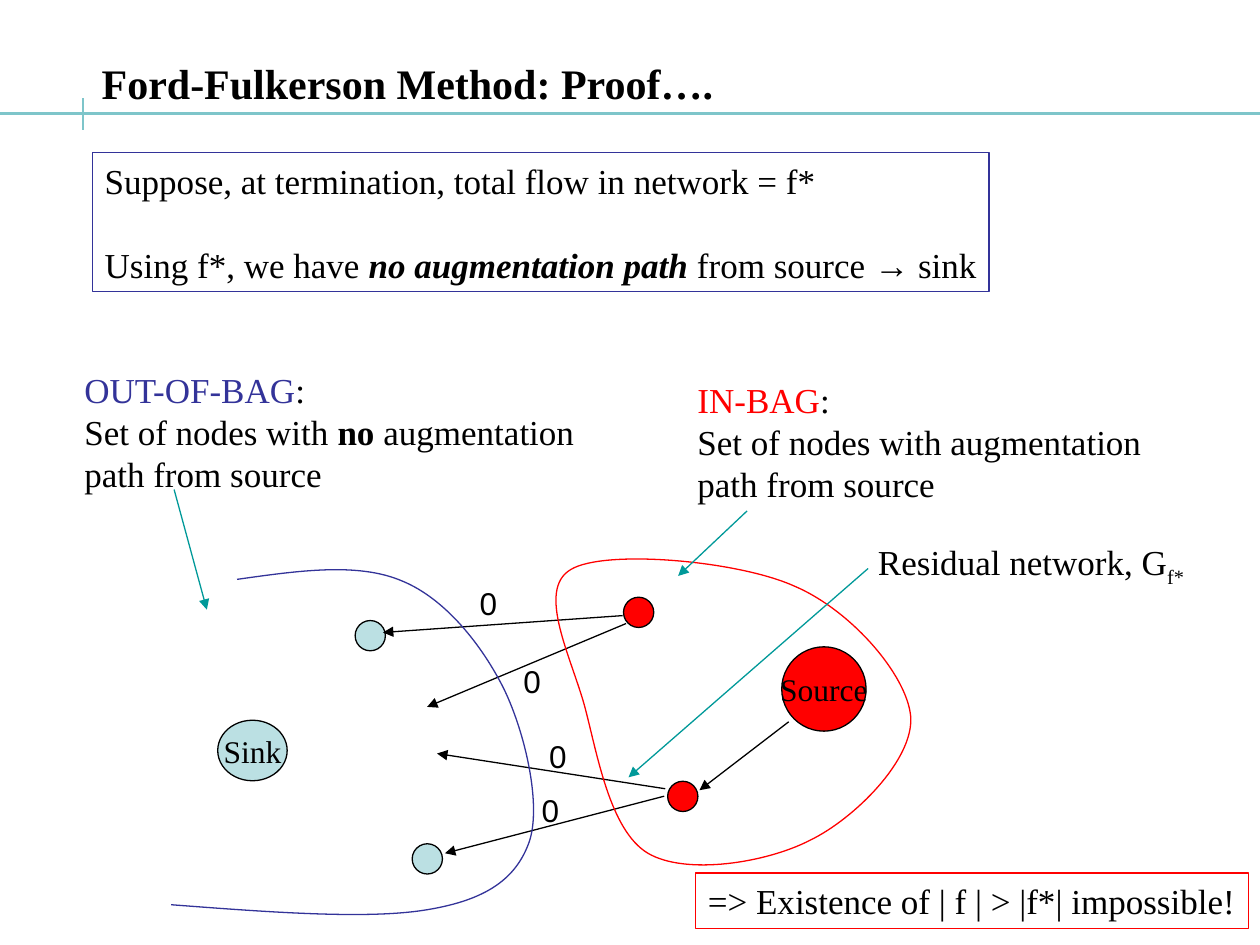
import pptx
import pptx.util
import pptx.dml.color
import pptx.enum.shapes
import pptx.enum.text
import pptx.oxml.ns
import lxml.etree

Cm, Pt, qn = pptx.util.Cm, pptx.util.Pt, pptx.oxml.ns.qn
COLORS = {"black": "000000", "red": "FF0000", "navy": "333399",
          "teal": "009999", "rule": "7EC5CA", "pale": "BBE0E3"}
SERIF, SANS = "Times New Roman", "Arial"

RULES = [(0, 2.29, 25.4, 2.29), (1.67, 1.98, 1.67, 2.62)]

TEXTS = [
    {"at": (1.8, 1.03, 12.85, 1.27), "size": 24,
     "paras": [[("Ford-Fulkerson Method: Proof….", {"bold": True})]]},
    {"at": (1.86, 3.08, 18.08, 2.79), "line": "navy", "gap": 24,
     "paras": [[("Suppose, at termination, total flow in network = f*", {})],
               [("Using f*, we have ", {}),
                ("no augmentation path", {"bold": True, "italic": True}),
                (" from source ", {}), ("→", {"font": SANS}), (" sink", {})]]},
    {"at": (1.45, 7.3, 10.92, 2.79), "wrap": True,
     "paras": [[("OUT-OF-BAG", {"color": "navy"}), (":", {})],
               [("Set of nodes with ", {}), ("no", {"bold": True}), (" augmentation", {})],
               [("path from source", {})]]},
    {"at": (13.81, 7.51, 9.6, 2.79), "wrap": True,
     "paras": [[("IN-BAG", {"color": "red"}), (":", {})],
               [("Set of nodes with augmentation", {})],
               [("path from source", {})]]},
    {"at": (17.45, 10.77, 6.68, 1.22),
     "paras": [[("Residual network, G", {}), ("f*", {"baseline": "-25000"})]]},
    {"at": (14.02, 17.6, 11.15, 1.12), "line": "red",
     "paras": [[("=> Existence of | f | > |f*| impossible!", {})]]},
]

ZERO_LABELS = [(9.42, 11.65), (10.3, 13.23), (10.67, 15.82), (10.82, 14.73)]

DOT = 0.61
NODES = [
    (15.76, 13.04, 1.7, 1.7, "red", "Source"),
    (12.57, 12.04, DOT, DOT, "red", ""),
    (13.46, 15.75, DOT, DOT, "red", ""),
    (4.39, 14.52, 1.4, 1.22, "pale", "Sink"),
    (7.16, 12.51, DOT, DOT, "pale", ""),
    (8.31, 17.01, DOT, DOT, "pale", ""),
]

EDGES = [
    (13.39, 16.05, 8.97, 17.2), (12.55, 12.41, 7.72, 12.75),
    (12.62, 12.57, 8.61, 14.25), (13.41, 15.9, 8.81, 15.19),
    (15.9, 14.55, 14.1, 15.93),
]
POINTERS = [(3.51, 9.87, 4.17, 12.29), (15.06, 10.3, 13.67, 11.61),
            (17.5, 11.46, 12.67, 15.67)]

IN_BAG = [
    (18.36, 14.45), (18.29, 13.61), (17.15, 12.29), (16, 11.81),
    (14.86, 11.3), (12.19, 11.07), (11.51, 11.48),
    (10.8, 11.89), (11.53, 13.28), (11.79, 14.25),
    (12.04, 15.19), (12.29, 16.74), (13.06, 17.2),
    (13.82, 17.65), (15.44, 17.4), (16.33, 16.94),
    (17.22, 16.51), (18.42, 15.32), (18.36, 14.45),
]
OUT_OF_BAG = [
    (4.78, 11.68), (5.99, 11.51), (7.21, 11.33), (8.1, 11.71),
    (8.99, 12.07), (9.73, 13.03), (10.16, 13.89),
    (10.59, 14.78), (10.92, 16.23), (10.67, 16.97),
    (10.41, 17.7), (9.83, 18.14), (8.61, 18.34),
    (7.42, 18.54), (5.44, 18.39), (3.45, 18.24),
]


def rgb(name):
    return pptx.dml.color.RGBColor.from_string(COLORS[name])


def set_line(s, color, width=0.75):
    s.line.color.rgb = rgb(color)
    s.line.width = Pt(width)


def add_run(p, text, size, font=SERIF, color="black", bold=False, italic=False, baseline=None):
    r = p.add_run()
    r.text = text
    r.font.size, r.font.name = Pt(size), font
    r.font.bold, r.font.italic = bold, italic
    r.font.color.rgb = rgb(color)
    if baseline:
        r.font._element.set("baseline", baseline)


def add_text(slide, at, paras, size=20, line=None, wrap=False, gap=0):
    s = slide.shapes.add_textbox(*map(Cm, at))
    tf = s.text_frame
    tf.word_wrap = wrap
    tf.auto_size = pptx.enum.text.MSO_AUTO_SIZE.SHAPE_TO_FIT_TEXT
    if line:
        set_line(s, line)
    for i, runs in enumerate(paras):
        p = tf.add_paragraph() if i else tf.paragraphs[0]
        if i and gap:
            p.space_before = Pt(gap)
        for text, style in runs:
            add_run(p, text, size, **style)


def add_line(slide, ends, color, width=0.75, arrow=True):
    s = slide.shapes.add_connector(pptx.enum.shapes.MSO_CONNECTOR.STRAIGHT, *map(Cm, ends))
    set_line(s, color, width)
    if arrow:
        lxml.etree.SubElement(s.line._get_or_add_ln(), qn("a:tailEnd"), type="triangle")
    lxml.etree.SubElement(s._element.spPr, qn("a:effectLst"))


def add_node(slide, x, y, w, h, fill, label):
    s = slide.shapes.add_shape(pptx.enum.shapes.MSO_SHAPE.OVAL, Cm(x), Cm(y), Cm(w), Cm(h))
    s.shadow.inherit = False
    s.fill.solid()
    s.fill.fore_color.rgb = rgb(fill)
    set_line(s, "black")
    if label:
        tf = s.text_frame
        tf.word_wrap = False
        tf.vertical_anchor = pptx.enum.text.MSO_ANCHOR.MIDDLE
        p = tf.paragraphs[0]
        p.alignment = pptx.enum.text.PP_ALIGN.CENTER
        add_run(p, label, 18)


def add_curve(slide, knots, color, close):
    start, *rest = [(Cm(x), Cm(y)) for x, y in knots]
    builder = slide.shapes.build_freeform(*start)
    builder.add_line_segments(rest, close=close)
    s = builder.convert_to_shape()
    s.shadow.inherit = False
    s.fill.background()
    set_line(s, color)
    segments = list(s._element.iter(qn("a:lnTo")))[:len(rest)]
    for i in range(0, len(segments), 3):
        first, *others = segments[i:i + 3]
        for other in others:
            first.append(other[0])
            other.getparent().remove(other)
        first.tag = qn("a:cubicBezTo")


def main():
    prs = pptx.Presentation()
    prs.slide_width, prs.slide_height = Cm(25.4), Cm(19.05)
    slide = prs.slides.add_slide(prs.slide_layouts[6])
    for ends in RULES:
        add_line(slide, ends, "rule", 1.5, arrow=False)
    for text in TEXTS:
        add_text(slide, **text)
    for node in NODES:
        add_node(slide, *node)
    for ends in EDGES:
        add_line(slide, ends, "black")
    add_curve(slide, IN_BAG, "red", close=True)
    add_curve(slide, OUT_OF_BAG, "navy", close=False)
    for ends in POINTERS:
        add_line(slide, ends, "teal")
    for x, y in ZERO_LABELS:
        add_text(slide, (x, y, 0.86, 1.02), [[("0", {"font": SANS})]], size=18)
    prs.save("out.pptx")


if __name__ == "__main__":
    main()
